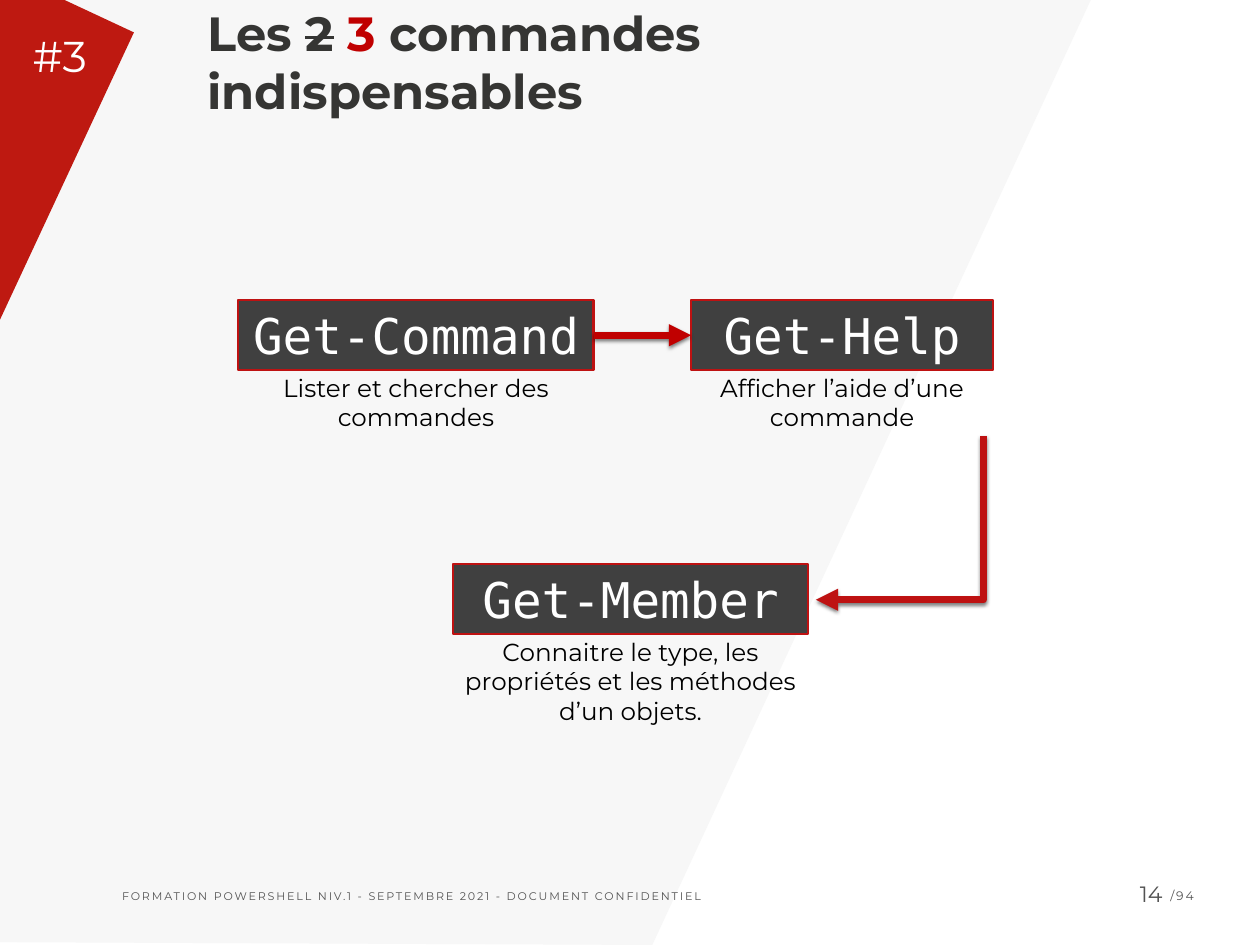
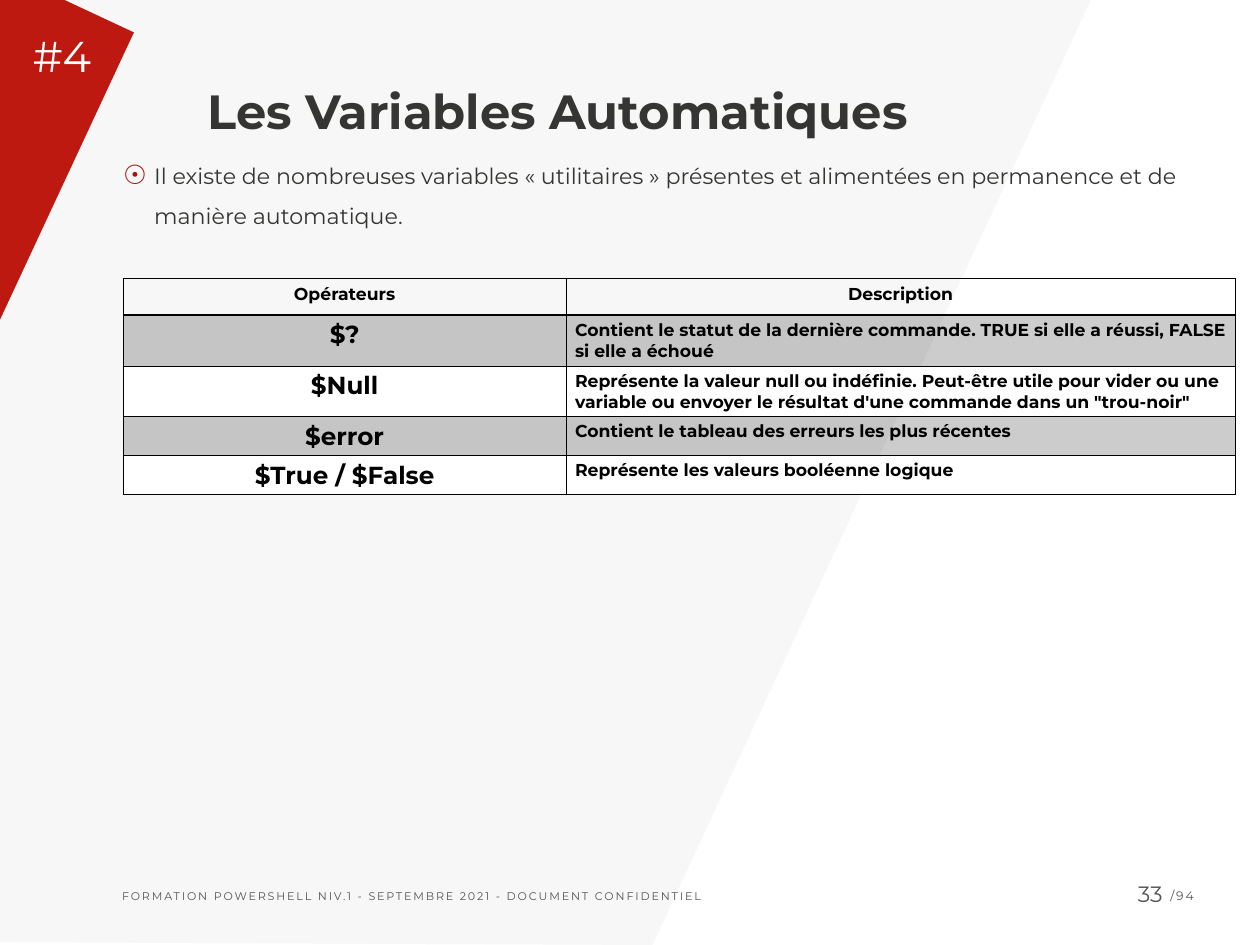
from dataclasses import dataclass

from lxml.etree import SubElement
from pptx import Presentation
from pptx.dml.color import RGBColor
from pptx.enum.shapes import MSO_CONNECTOR as Connector, MSO_SHAPE as Preset
from pptx.enum.text import MSO_ANCHOR as Anchor, MSO_AUTO_SIZE as AutoSize, PP_ALIGN as Align
from pptx.oxml.ns import qn
from pptx.util import Cm, Pt

BLACK = RGBColor(0x00, 0x00, 0x00)
WHITE = RGBColor(0xFF, 0xFF, 0xFF)
BAND_GREY = RGBColor(0xF7, 0xF7, 0xF7)
BAND_RED = RGBColor(0xBE, 0x19, 0x11)
TITLE_GREY = RGBColor(0x35, 0x35, 0x33)
FOOTER_GREY = RGBColor(0x53, 0x53, 0x53)
BOX_GREY = RGBColor(0x40, 0x40, 0x40)
BOX_RED = RGBColor(0xBE, 0x12, 0x12)
ACCENT_RED = RGBColor(0xC0, 0x00, 0x00)
BULLET_RED = RGBColor(0xA4, 0x14, 0x0E)

TITLE_ONLY, TITLE_AND_CONTENT = 5, 1
INSET = 0.15
GREY_BAND = [(0, 0), (31.27, 0), (18.7, 27.1), (0, 27.02)]
RED_BAND = [(0, 0), (1.85, 0), (3.84, 0.93), (0, 9.17)]
FOOTER = "FORMATION POWERSHELL NIV.1 - SEPTEMBRE 2021 - DOCUMENT CONFIDENTIEL"


@dataclass(frozen=True)
class Style:
    size: float
    color: RGBColor
    bold: bool = False
    font: str = "Montserrat"
    align: Align = Align.LEFT


@dataclass(frozen=True)
class Area:
    """Left, top, width and height in centimetres."""
    left: float
    top: float
    width: float
    height: float

    def lengths(self) -> tuple:
        return Cm(self.left), Cm(self.top), Cm(self.width), Cm(self.height)


@dataclass(frozen=True)
class Command:
    name: str
    purpose: str
    area: Area


@dataclass(frozen=True)
class TitleRun:
    text: str
    color: RGBColor = TITLE_GREY
    struck: bool = False


TITLE = Style(39, TITLE_GREY, bold=True)
BADGE = Style(35, WHITE)
BODY = Style(18, TITLE_GREY)
FOOTER_TEXT = Style(9, FOOTER_GREY)
PAGE_TOTAL = Style(10, FOOTER_GREY)
PAGE_NUMBER = Style(18, FOOTER_GREY, align=Align.RIGHT)
COMMAND = Style(40, WHITE, font="DejaVu Sans Mono", align=Align.CENTER)
CAPTION = Style(20, BLACK, align=Align.CENTER)
HEADER_CELL = Style(14, BLACK, bold=True, align=Align.CENTER)
NAME_CELL = Style(20, BLACK, bold=True, align=Align.CENTER)
TEXT_CELL = Style(14, BLACK, bold=True)

BOX_WIDTH, BOX_HEIGHT = 10.19, 2.01
CAPTION_GAP = 0.07
COMMANDS = [
    Command("Get-Command", "Lister et chercher des commandes",
            Area(6.83, 8.61, BOX_WIDTH, BOX_HEIGHT)),
    Command("Get-Help", "Afficher l’aide d’une commande",
            Area(19.81, 8.61, 8.66, BOX_HEIGHT)),
    Command("Get-Member", "Connaitre le type, les propriétés et les méthodes d’un objets.",
            Area(12.98, 16.18, BOX_WIDTH, BOX_HEIGHT)),
]

VARIABLES = [
    ("Opérateurs", "Description"),
    ("$?", "Contient le statut de la dernière commande. TRUE si elle a réussi, "
           "FALSE si elle a échoué"),
    ("$Null", "Représente la valeur null ou indéfinie. Peut-être utile pour vider ou une "
              "variable ou envoyer le résultat d'une commande dans un \"trou-noir\""),
    ("$error", "Contient le tableau des erreurs les plus récentes"),
    ("$True / $False", "Représente les valeurs booléenne logique"),
]


# Text helpers
def format_paragraph(paragraph, style: Style) -> None:
    paragraph.alignment = style.align
    font = paragraph.font
    font.name, font.size, font.bold = style.font, Pt(style.size), style.bold
    font.color.rgb = style.color


def set_frame(frame, inset: float, anchor: Anchor) -> None:
    frame.word_wrap = True
    frame.auto_size = AutoSize.NONE
    frame.vertical_anchor = anchor
    frame.margin_left = frame.margin_right = Cm(inset)
    frame.margin_top = frame.margin_bottom = Cm(inset)


def add_text(slide, area: Area, text: str, style: Style, inset: float = INSET,
             spacing: float = 0):
    frame = slide.shapes.add_textbox(*area.lengths()).text_frame
    set_frame(frame, inset, Anchor.TOP)
    paragraph = frame.paragraphs[0]
    run = paragraph.add_run()
    run.text = text
    format_paragraph(paragraph, style)
    if spacing:
        run.font._element.set("spc", str(round(spacing * 100)))
    return frame


def place(shape, area: Area) -> None:
    shape.left, shape.top, shape.width, shape.height = area.lengths()


# Parts that every slide shares
def add_band(slide, points: list, color: RGBColor, depth: int) -> None:
    corners = [(Cm(x), Cm(y)) for x, y in points]
    builder = slide.shapes.build_freeform(*corners[0])
    builder.add_line_segments(corners[1:], close=True)
    band = builder.convert_to_shape()
    band.shadow.inherit = False
    band.fill.solid()
    band.fill.fore_color.rgb = color
    band.line.fill.background()
    slide.shapes._spTree.insert(2 + depth, band._element)


def add_slide(presentation, layout: int, badge: str, number: str,
              title: list[TitleRun], title_area: Area):
    slide = presentation.slides.add_slide(presentation.slide_layouts[layout])
    add_band(slide, GREY_BAND, BAND_GREY, 0)
    add_band(slide, RED_BAND, BAND_RED, 1)
    add_text(slide, Area(3.35, 25.35, 26.52, 0.66), FOOTER, FOOTER_TEXT, spacing=1.5)
    add_text(slide, Area(33.4, 25.32, 2.01, 0.71), "/94", PAGE_TOTAL, spacing=1.5)
    add_text(slide, Area(32.4, 25.1, 1.08, 0.94), number, PAGE_NUMBER)
    add_text(slide, Area(0.79, 0.69, 2, 1.78), badge, BADGE)

    heading = slide.shapes.title
    place(heading, title_area)
    set_frame(heading.text_frame, INSET, Anchor.BOTTOM)
    paragraph = heading.text_frame.paragraphs[0]
    format_paragraph(paragraph, TITLE)
    for part in title:
        run = paragraph.add_run()
        run.text = part.text
        if part.color != TITLE.color:
            run.font.color.rgb = part.color
        if part.struck:
            run.font._element.set("strike", "sngStrike")
    return slide


# Command diagram
def add_command(slide, command: Command):
    area = command.area
    box = slide.shapes.add_shape(Preset.RECTANGLE, *area.lengths())
    box.shadow.inherit = False
    box.fill.solid()
    box.fill.fore_color.rgb = BOX_GREY
    box.line.color.rgb = BOX_RED
    box.line.width = Pt(2)
    set_frame(box.text_frame, INSET, Anchor.MIDDLE)
    paragraph = box.text_frame.paragraphs[0]
    paragraph.text = command.name
    format_paragraph(paragraph, COMMAND)

    caption_area = Area(area.left + (area.width - BOX_WIDTH) / 2,
                        area.top + area.height + CAPTION_GAP, BOX_WIDTH, 2.03)
    caption = add_text(slide, caption_area, command.purpose, CAPTION, inset=0)
    caption.auto_size = AutoSize.SHAPE_TO_FIT_TEXT
    return box


def add_arrow(slide, kind: Connector, area: Area, color: RGBColor):
    left, top, width, height = area.lengths()
    arrow = slide.shapes.add_connector(kind, left, top, left + width, top + height)
    arrow.line.color.rgb = color
    arrow.line.width = Pt(6)
    SubElement(arrow.line._get_or_add_ln(), qn("a:tailEnd"), type="triangle")
    effects = SubElement(arrow._element.spPr, qn("a:effectLst"))
    shadow = SubElement(effects, qn("a:outerShdw"), blurRad=str(Pt(3)), dist=str(Pt(2)),
                        dir="5400000", rotWithShape="0")
    tint = SubElement(shadow, qn("a:srgbClr"), val=str(BLACK))
    SubElement(tint, qn("a:alpha"), val="50000")
    return arrow


def build_commands(presentation) -> None:
    title = [TitleRun("Les "), TitleRun("2", struck=True), TitleRun(" "),
             TitleRun("3", ACCENT_RED), TitleRun(" commandes indispensables")]
    slide = add_slide(presentation, TITLE_ONLY, "#3", "14", title,
                      Area(5.79, 1.32, 21.36, 2.24))
    first, second, _ = [add_command(slide, command) for command in COMMANDS]

    straight = add_arrow(slide, Connector.STRAIGHT, Area(17.02, 9.61, 2.79, 0), ACCENT_RED)
    straight.begin_connect(first, 3)
    straight.end_connect(second, 1)

    # One-bend elbow, turned to run down and then left
    elbow = add_arrow(slide, Connector.ELBOW, Area(23.44, 12.45, 4.7, 4.8), BOX_RED)
    properties = elbow._element.spPr
    properties.find(qn("a:xfrm")).set("rot", "5400000")
    properties.find(qn("a:prstGeom")).set("prst", "bentConnector2")


# Variables table
def set_borders(cell, top: float, bottom: float) -> None:
    properties = cell._tc.get_or_add_tcPr()
    for side, width in (("L", 1), ("R", 1), ("T", top), ("B", bottom)):
        line = SubElement(properties, qn(f"a:ln{side}"), w=str(Pt(width)))
        fill = SubElement(line, qn("a:solidFill"))
        SubElement(fill, qn("a:srgbClr"), val=str(BLACK))


def fill_cell(cell, row: int) -> None:
    if row == 0:
        cell.fill.background()
        return
    cell.fill.solid()
    shaded = row % 2 == 1
    cell.fill.fore_color.rgb = BLACK if shaded else WHITE
    if shaded:
        color = cell._tc.tcPr.find(qn("a:solidFill")).find(qn("a:srgbClr"))
        SubElement(color, qn("a:alpha"), val="20000")


def add_variables_table(slide) -> None:
    widths, row_height = (12.7, 19.18), 1.04
    area = Area(3.53, 8, sum(widths), row_height * len(VARIABLES))
    table = slide.shapes.add_table(len(VARIABLES), len(widths), *area.lengths()).table
    table.first_row = table.horz_banding = False
    for column, width in zip(table.columns, widths):
        column.width = Cm(width)
    for row, texts in enumerate(VARIABLES):
        table.rows[row].height = Cm(row_height)
        styles = (NAME_CELL, TEXT_CELL) if row else (HEADER_CELL, HEADER_CELL)
        for column, (text, style) in enumerate(zip(texts, styles)):
            cell = table.cell(row, column)
            set_borders(cell, top=2 if row == 1 else 1, bottom=2 if row == 0 else 1)
            fill_cell(cell, row)
            paragraph = cell.text_frame.paragraphs[0]
            paragraph.text = text
            format_paragraph(paragraph, style)


def build_variables(presentation) -> None:
    slide = add_slide(presentation, TITLE_AND_CONTENT, "#4", "33",
                      [TitleRun("Les Variables Automatiques")], Area(5.79, 0, 30.35, 4.14))
    body = slide.placeholders[1]
    place(body, Area(3.53, 4.27, 31.85, 20.83))
    set_frame(body.text_frame, 0, Anchor.TOP)
    paragraph = body.text_frame.paragraphs[0]
    paragraph.text = ("Il existe de nombreuses variables « utilitaires » présentes et "
                      "alimentées en permanence et de manière automatique.")
    paragraph.line_spacing = 1.5
    paragraph.space_before = Pt(15)
    properties = paragraph._p.get_or_add_pPr()
    properties.set("marL", str(Cm(0.89)))
    properties.set("indent", str(Cm(-0.89)))
    bullet_color = SubElement(properties, qn("a:buClr"))
    SubElement(bullet_color, qn("a:srgbClr"), val=str(BULLET_RED))
    SubElement(properties, qn("a:buSzPct"), val="120000")
    SubElement(properties, qn("a:buChar"), char="☉")
    format_paragraph(paragraph, BODY)
    add_variables_table(slide)


def main() -> None:
    presentation = Presentation()
    presentation.slide_width, presentation.slide_height = Cm(36.12), Cm(27.1)
    build_commands(presentation)
    build_variables(presentation)
    presentation.save("out.pptx")


if __name__ == "__main__":
    main()
